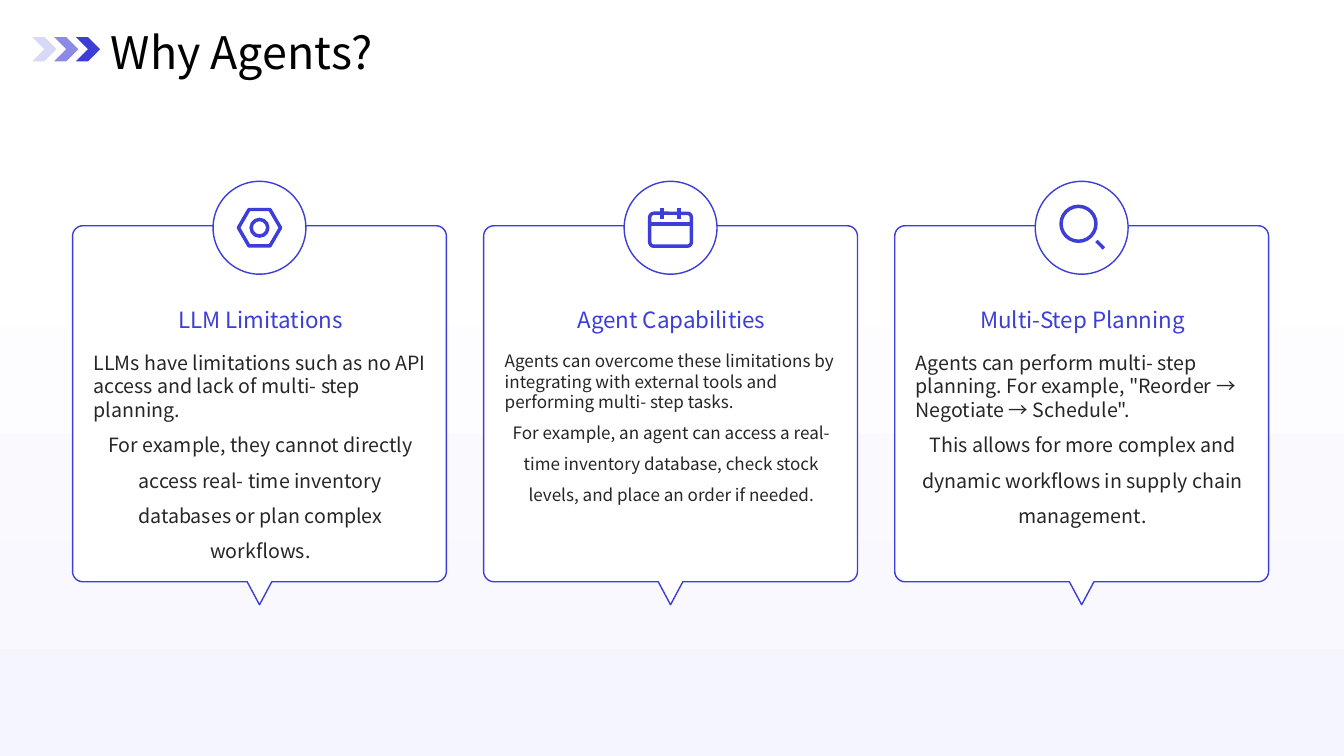
"""Build the "Why Agents?" slide with three callout cards."""
from math import cos, pi, sin

from lxml.etree import SubElement
from pptx import Presentation
from pptx.dml.color import RGBColor
from pptx.enum.shapes import MSO_CONNECTOR, MSO_SHAPE as Kind
from pptx.enum.text import MSO_ANCHOR as Anchor, PP_ALIGN as Align
from pptx.oxml.ns import qn
from pptx.util import Cm, Pt

BLUE = RGBColor(0x3D, 0x3E, 0xD7)
MID = RGBColor(0x8B, 0x8B, 0xE7)
PALE = RGBColor(0xD8, 0xD8, 0xF7)
MIST = RGBColor(0xF5, 0xF5, 0xFD)
WHITE = RGBColor(0xFF, 0xFF, 0xFF)
BLACK = RGBColor(0, 0, 0)
INK = RGBColor(0x26, 0x26, 0x26)
FONT = "Noto Sans CJK SC"

TITLE = "Why Agents?"
CARDS = [
    {
        "head": "LLM Limitations",
        "body": [
            "LLMs have limitations such as no API access and lack of multi- step planning.",
            "For example, they cannot directly access real- time inventory databases "
            "or plan complex workflows.",
        ],
        "size": 14,
        "shapes": [(Kind.HEXAGON, 0, 0, 1.06, 0.92, 0.29), (Kind.OVAL, 0, 0, 0.42, 0.42, None)],
        "lines": [],
    },
    {
        "head": "Agent Capabilities",
        "body": [
            "Agents can overcome these limitations by integrating with external tools "
            "and performing multi- step tasks.",
            "For example, an agent can access a real- time inventory database, "
            "check stock levels, and place an order if needed.",
        ],
        "size": 12.2,
        "shapes": [(Kind.ROUNDED_RECTANGLE, 0, 0.05, 1.05, 0.83, 0.12)],
        "lines": [
            (-0.52, -0.09, 0.52, -0.09),
            (-0.21, -0.51, -0.21, -0.22),
            (0.21, -0.51, 0.21, -0.22),
        ],
    },
    {
        "head": "Multi-Step Planning",
        "body": [
            'Agents can perform multi- step planning. For example, '
            '"Reorder → Negotiate → Schedule".',
            "This allows for more complex and dynamic workflows in supply chain management.",
        ],
        "size": 14,
        "shapes": [(Kind.OVAL, -0.08, -0.1, 0.88, 0.88, None)],
        "lines": [(0.37, 0.33, 0.56, 0.52)],
    },
]

WIDE, HIGH = 33.87, 19.05
LEFT, TOP, PITCH = 1.83, 5.69, 10.36
CARD_W, CARD_H, ROUND = 9.42, 8.97, 0.26
TIP_W, TIP_H = 0.62, 0.58
DISC, DISC_Y = 2.34, 5.74
TEXT_W = 8.41
STROKE = 2.5

deck = Presentation()
deck.slide_width, deck.slide_height = Cm(WIDE), Cm(HIGH)
slide = deck.slides.add_slide(deck.slide_layouts[6])
shapes = slide.shapes


def paint(shape, fill=None, line=None, width=1):
    shape.shadow.inherit = False
    if fill is None:
        shape.fill.background()
    else:
        shape.fill.solid()
        shape.fill.fore_color.rgb = fill
    if line is None:
        shape.line.fill.background()
    else:
        shape.line.color.rgb = line
        shape.line.width = Pt(width)


def place(kind, mid_x, mid_y, w, h, **style):
    shape = shapes.add_shape(kind, Cm(mid_x - w / 2), Cm(mid_y - h / 2), Cm(w), Cm(h))
    paint(shape, **style)
    return shape


def write(text, x, y, w, h, size=16, color=BLUE, anchor=Anchor.MIDDLE,
          aligns=(Align.CENTER,), leads=(1.3,)):
    frame = shapes.add_textbox(Cm(x), Cm(y), Cm(w), Cm(h)).text_frame
    frame.word_wrap = True
    frame.vertical_anchor = anchor
    frame.margin_left = frame.margin_right = frame.margin_top = frame.margin_bottom = 0
    frame.text = text
    for para, align, lead in zip(frame.paragraphs, aligns, leads):
        para.alignment, para.line_spacing = align, lead
        for run in para.runs:
            run.font.name, run.font.size = FONT, Pt(size)
            run.font.color.rgb = color


def outline(x):
    right, low, mid = x + CARD_W, TOP + CARD_H, x + CARD_W / 2
    corners = [
        (right - ROUND, TOP + ROUND, -pi / 2),
        (right - ROUND, low - ROUND, 0),
        (x + ROUND, low - ROUND, pi / 2),
        (x + ROUND, TOP + ROUND, pi),
    ]
    arcs = [
        [(cx + ROUND * cos(turn + i * pi / 16), cy + ROUND * sin(turn + i * pi / 16))
         for i in range(9)]
        for cx, cy, turn in corners
    ]
    tip = [(mid + TIP_W / 2, low), (mid, low + TIP_H), (mid - TIP_W / 2, low)]
    points = arcs[0] + arcs[1] + tip + arcs[2] + arcs[3]
    return [(Cm(px), Cm(py)) for px, py in points]


def draw_icon(card, mid):
    for kind, dx, dy, w, h, bend in card["shapes"]:
        part = place(kind, mid + dx, DISC_Y + dy, w, h, line=BLUE, width=STROKE)
        if bend is not None:
            part.adjustments[0] = bend
    for x1, y1, x2, y2 in card["lines"]:
        bar = shapes.add_connector(
            MSO_CONNECTOR.STRAIGHT, Cm(mid + x1), Cm(DISC_Y + y1), Cm(mid + x2), Cm(DISC_Y + y2))
        bar.line.color.rgb = BLUE
        bar.line.width = Pt(STROKE)
        SubElement(bar._element.spPr, qn("a:effectLst"))


def draw_card(card, x):
    mid = x + CARD_W / 2
    points = outline(x)
    pen = shapes.build_freeform(*points[0], scale=1.0)
    pen.add_line_segments(points[1:], close=True)
    paint(pen.convert_to_shape(), fill=WHITE, line=BLUE)
    place(Kind.FLOWCHART_CONNECTOR, mid, DISC_Y, DISC, DISC, fill=WHITE, line=BLUE)
    draw_icon(card, mid)
    size, text_x = card["size"], x + 0.53
    write(card["head"], text_x, 7.16, TEXT_W, 1.57)
    write("\n".join(card["body"]), text_x, 8.84, TEXT_W, 5.54, size=size, color=INK,
          anchor=Anchor.TOP, aligns=(Align.LEFT, Align.CENTER),
          leads=(Pt(1.2 * size), Pt(1.8 * size)))


wash = place(Kind.RECTANGLE, WIDE / 2, HIGH / 2, WIDE, HIGH)
wash.fill.gradient()
wash.fill.gradient_angle = 90
for stop, color, spot in zip(wash.fill.gradient_stops, (MIST, WHITE), (0, 0.71)):
    stop.color.rgb, stop.position = color, spot

for n, card in enumerate(CARDS):
    draw_card(card, LEFT + n * PITCH)

write(TITLE, 2.79, 0.58, 29.72, 1.19, size=32, color=BLACK,
      aligns=(Align.LEFT,), leads=(1.2,))
for n, color in enumerate((PALE, MID, BLUE)):
    place(Kind.CHEVRON, 1.12 + n * 0.55, 1.24, 0.61, 0.61, fill=color)

deck.save("out.pptx")
